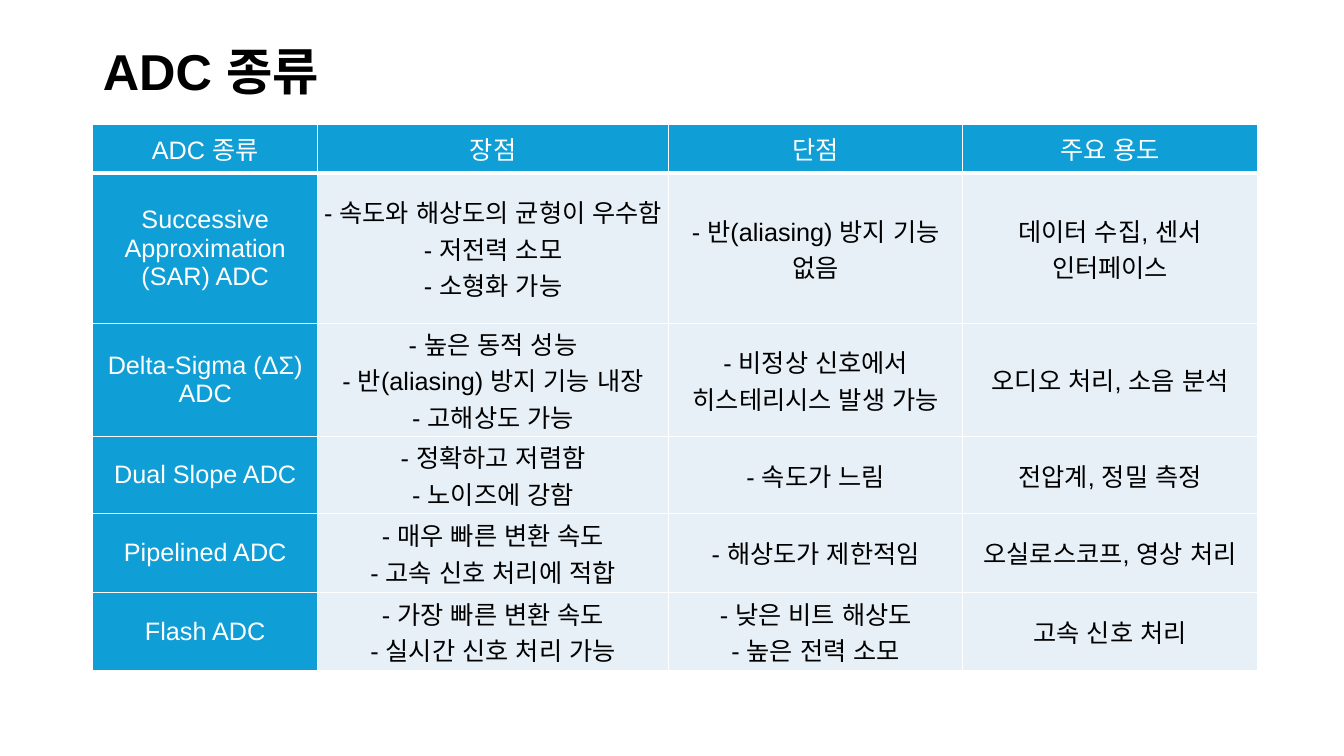
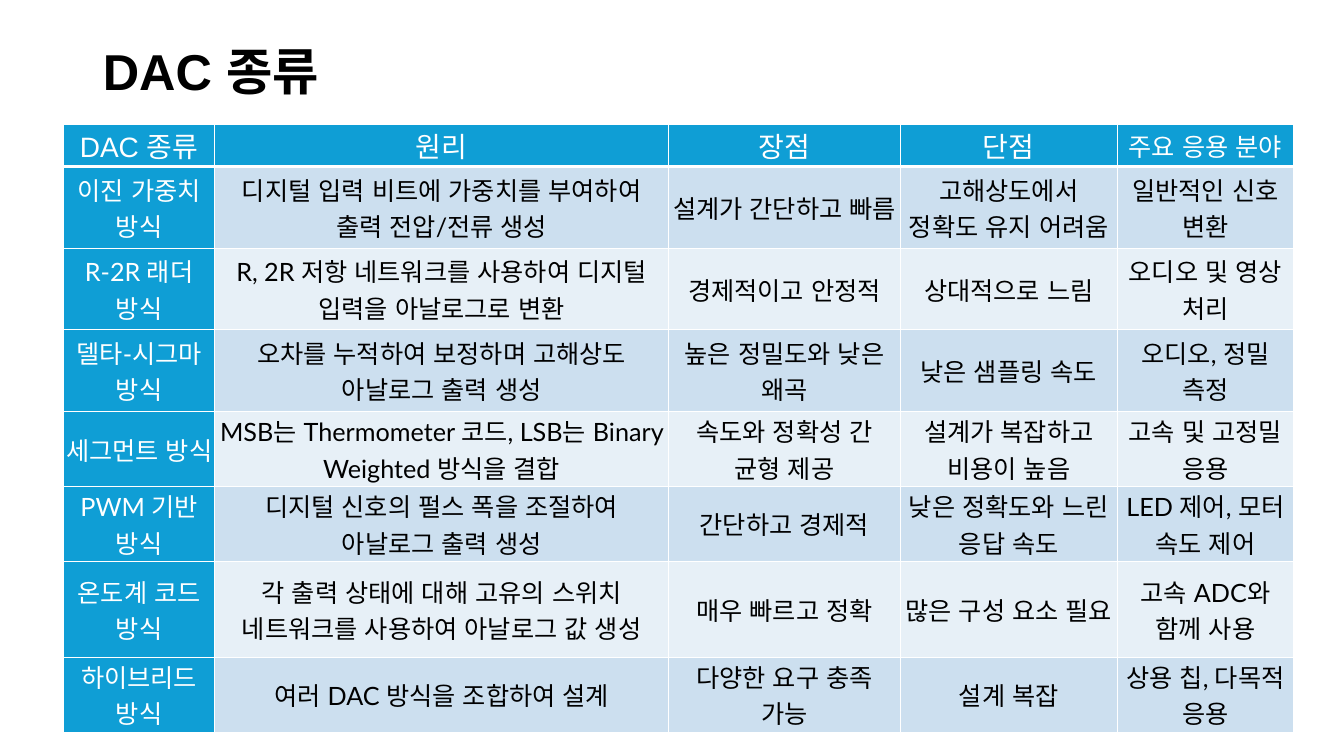
import pptx
import pptx.dml.color
import pptx.enum.lang
import pptx.enum.text
import pptx.oxml
import pptx.oxml.ns
import pptx.util

Inches = pptx.util.Inches
Pt = pptx.util.Pt
RGBColor = pptx.dml.color.RGBColor
ALIGN = pptx.enum.text.PP_ALIGN
MIDDLE = pptx.enum.text.MSO_ANCHOR.MIDDLE

BLUE = RGBColor(0x0F, 0x9E, 0xD5)
PALE = RGBColor(0xE7, 0xF0, 0xF7)
MIST = RGBColor(0xCC, 0xDF, 0xEF)
WHITE = RGBColor(0xFF, 0xFF, 0xFF)
BLACK = RGBColor(0, 0, 0)


def apply(item, **values):
    for name, value in values.items():
        setattr(item, name, value)


class Deck:
    """Shared style and the current slide."""

    def __init__(self):
        self.file = pptx.Presentation()
        apply(self.file, slide_width=Inches(13.33), slide_height=Inches(7.5))
        self.slide = None

    def style(self, frame, align, size, font, color, bold=False, space=1.0):
        for para in frame.paragraphs:
            apply(para, alignment=align, line_spacing=space)
            for run in para.runs:
                run.font.color.rgb = color
                apply(run.font, name=font, size=Pt(size), bold=bold,
                      language_id=pptx.enum.lang.MSO_LANGUAGE_ID.KOREAN)

    def title(self, text):
        self.slide = self.file.slides.add_slide(self.file.slide_layouts[5])
        box = self.slide.shapes.title
        apply(box, left=Inches(0.92), top=Inches(0.4),
              width=Inches(11.5), height=Inches(0.68))
        frame = box.text_frame
        apply(frame, text=text, word_wrap=True, vertical_anchor=MIDDLE,
              auto_size=pptx.enum.text.MSO_AUTO_SIZE.NONE)
        self.style(frame, ALIGN.LEFT, 36, "Arial", BLACK, True, 0.9)

    def border(self, cell, row):
        # The rule under the header is thicker than the rest
        props = cell._tc.get_or_add_tcPr()
        thick = {("B", 0), ("T", 1)}
        for side in "LRTB":
            width = Pt(3 if (side, row) in thick else 1)
            props.append(pptx.oxml.parse_xml(
                f'<a:ln{side} {pptx.oxml.ns.nsdecls("a")} w="{width}">'
                f'<a:solidFill><a:srgbClr val="{WHITE}"/></a:solidFill>'
                f'</a:ln{side}>'))

    def cell(self, cell, text, row, fill, pad, **look):
        self.border(cell, row)
        cell.fill.solid()
        cell.fill.fore_color.rgb = fill
        side, edge = Inches(pad), Inches(pad / 2)
        apply(cell, text=text, vertical_anchor=MIDDLE, margin_left=side,
              margin_right=side, margin_top=edge, margin_bottom=edge)
        self.style(cell.text_frame, ALIGN.CENTER, **look)

    def table(self, left, widths, heights, rows, bands, pad, font, sizes):
        grid = self.slide.shapes.add_table(
            len(rows), len(widths), Inches(left), Inches(1.23),
            Inches(sum(widths)), Inches(sum(heights))).table
        for col, width in zip(grid.columns, widths):
            col.width = Inches(width)
        for r, (height, texts) in enumerate(zip(heights, rows)):
            grid.rows[r].height = Inches(height)
            for c, text in enumerate(texts):
                head = r == 0
                label = head or c == 0
                fill = BLUE if label else bands[(r - 1) % len(bands)]
                self.cell(grid.cell(r, c), text, r, fill, pad,
                          size=sizes[c] if head else 18,
                          font="Arial" if head else font,
                          color=WHITE if label else BLACK)

    def save(self):
        self.file.save("out.pptx")


ADC = [
    ("ADC 종류", "장점", "단점", "주요 용도"),
    ("Successive Approximation (SAR) ADC",
     "- 속도와 해상도의 균형이 우수함\n- 저전력 소모\n- 소형화 가능",
     "- 반(aliasing) 방지 기능 없음", "데이터 수집, 센서 인터페이스"),
    ("Delta-Sigma (ΔΣ) ADC",
     "- 높은 동적 성능\n- 반(aliasing) 방지 기능 내장\n- 고해상도 가능",
     "- 비정상 신호에서 히스테리시스 발생 가능", "오디오 처리, 소음 분석"),
    ("Dual Slope ADC", "- 정확하고 저렴함\n- 노이즈에 강함",
     "- 속도가 느림", "전압계, 정밀 측정"),
    ("Pipelined ADC", "- 매우 빠른 변환 속도\n- 고속 신호 처리에 적합",
     "- 해상도가 제한적임", "오실로스코프, 영상 처리"),
    ("Flash ADC", "- 가장 빠른 변환 속도\n- 실시간 신호 처리 가능",
     "- 낮은 비트 해상도\n- 높은 전력 소모", "고속 신호 처리"),
]

DAC = [
    ("DAC 종류", "원리", "장점", "단점", "주요 응용 분야"),
    ("이진 가중치 방식", "디지털 입력 비트에 가중치를 부여하여 출력 전압/전류 생성",
     "설계가 간단하고 빠름", "고해상도에서 정확도 유지 어려움", "일반적인 신호 변환"),
    ("R-2R 래더 방식",
     "R, 2R 저항 네트워크를 사용하여 디지털 입력을 아날로그로 변환",
     "경제적이고 안정적", "상대적으로 느림", "오디오 및 영상 처리"),
    ("델타-시그마 방식", "오차를 누적하여 보정하며 고해상도 아날로그 출력 생성",
     "높은 정밀도와 낮은 왜곡", "낮은 샘플링 속도", "오디오, 정밀 측정"),
    ("세그먼트 방식",
     "MSB는 Thermometer 코드, LSB는 Binary Weighted 방식을 결합",
     "속도와 정확성 간 균형 제공", "설계가 복잡하고 비용이 높음", "고속 및 고정밀 응용"),
    ("PWM 기반 방식", "디지털 신호의 펄스 폭을 조절하여 아날로그 출력 생성",
     "간단하고 경제적", "낮은 정확도와 느린 응답 속도", "LED 제어, 모터 속도 제어"),
    ("온도계 코드 방식",
     "각 출력 상태에 대해 고유의 스위치 네트워크를 사용하여 아날로그 값 생성",
     "매우 빠르고 정확", "많은 구성 요소 필요", "고속 ADC와 함께 사용"),
    ("하이브리드 방식", "여러 DAC 방식을 조합하여 설계",
     "다양한 요구 충족 가능", "설계 복잡", "상용 칩, 다목적 응용"),
]


def main():
    deck = Deck()

    # ADC types
    deck.title("ADC 종류")
    deck.table(0.92, [2.23, 3.48, 2.92, 2.92],
               [0.49, 0.95, 1.06, 0.59, 0.78, 0.78], ADC,
               bands=[PALE], pad=0.04, font="Arial", sizes=[18] * 4)

    # DAC types
    deck.title("DAC 종류")
    deck.table(0.63, [1.5, 4.5, 2.3, 2.15, 1.75],
               [0.33, 0.81, 0.81, 0.81, 0.74, 0.74, 0.95, 0.45], DAC,
               bands=[MIST, PALE], pad=0.02, font="Lato",
               sizes=[20] * 4 + [18])

    deck.save()


if __name__ == "__main__":
    main()
